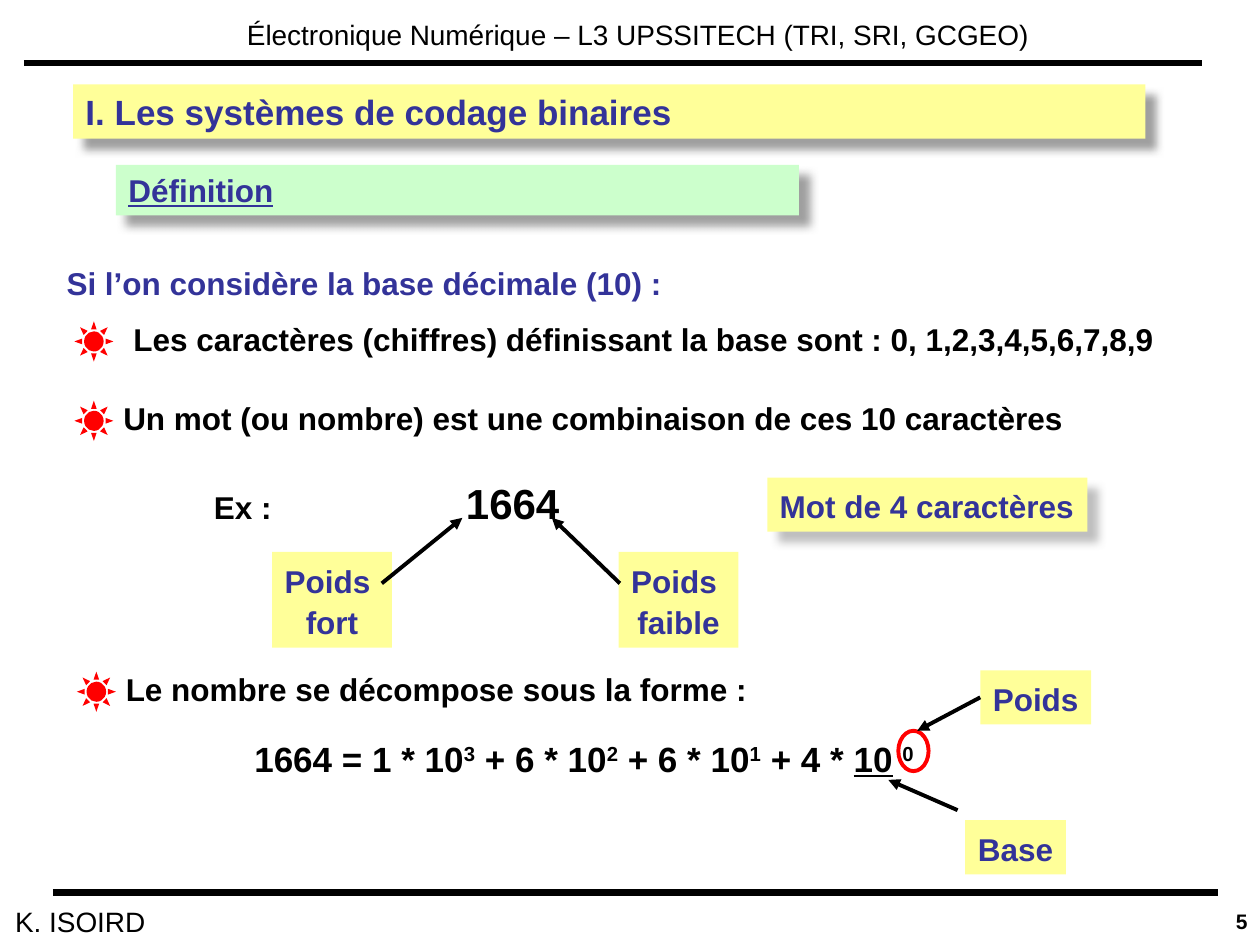
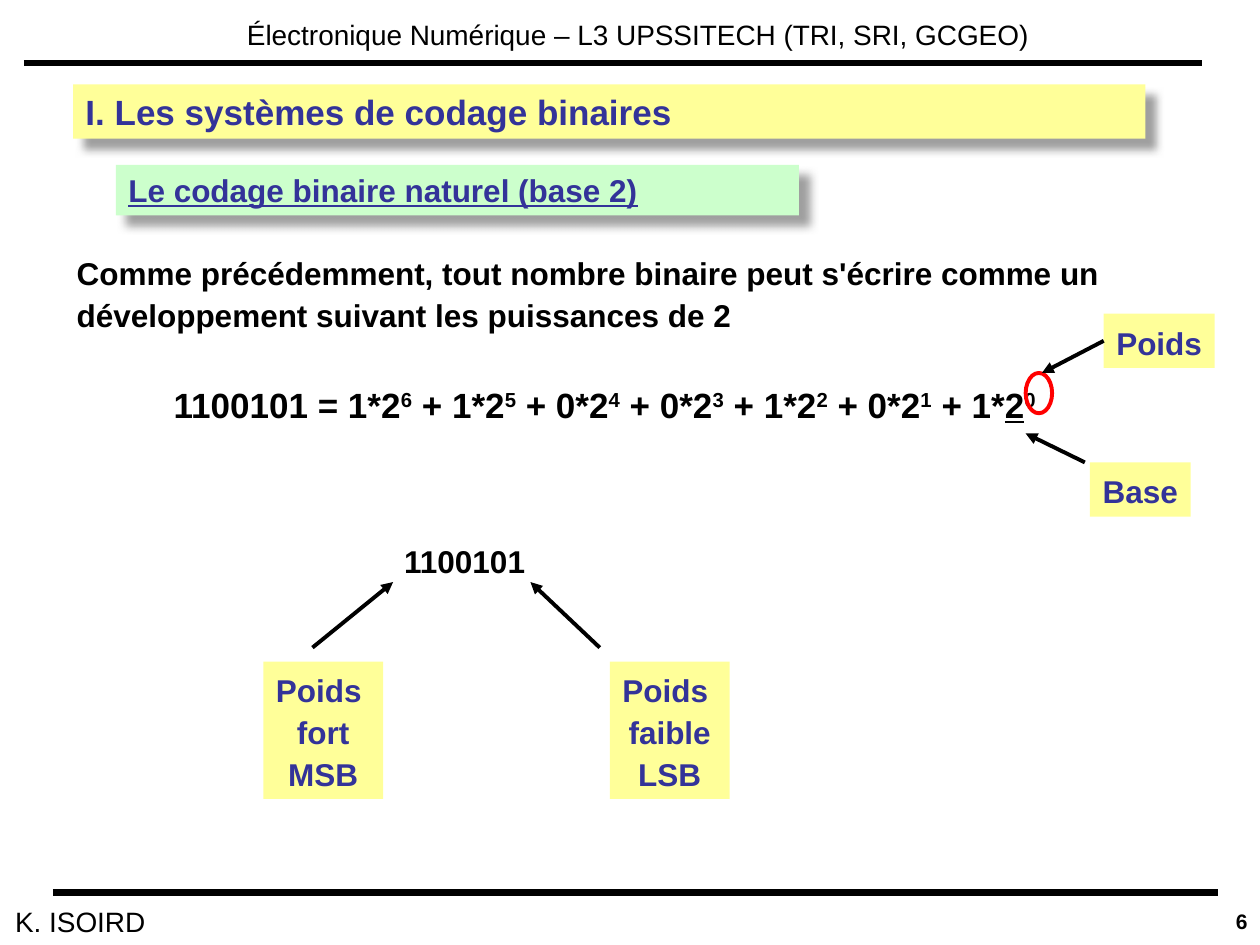
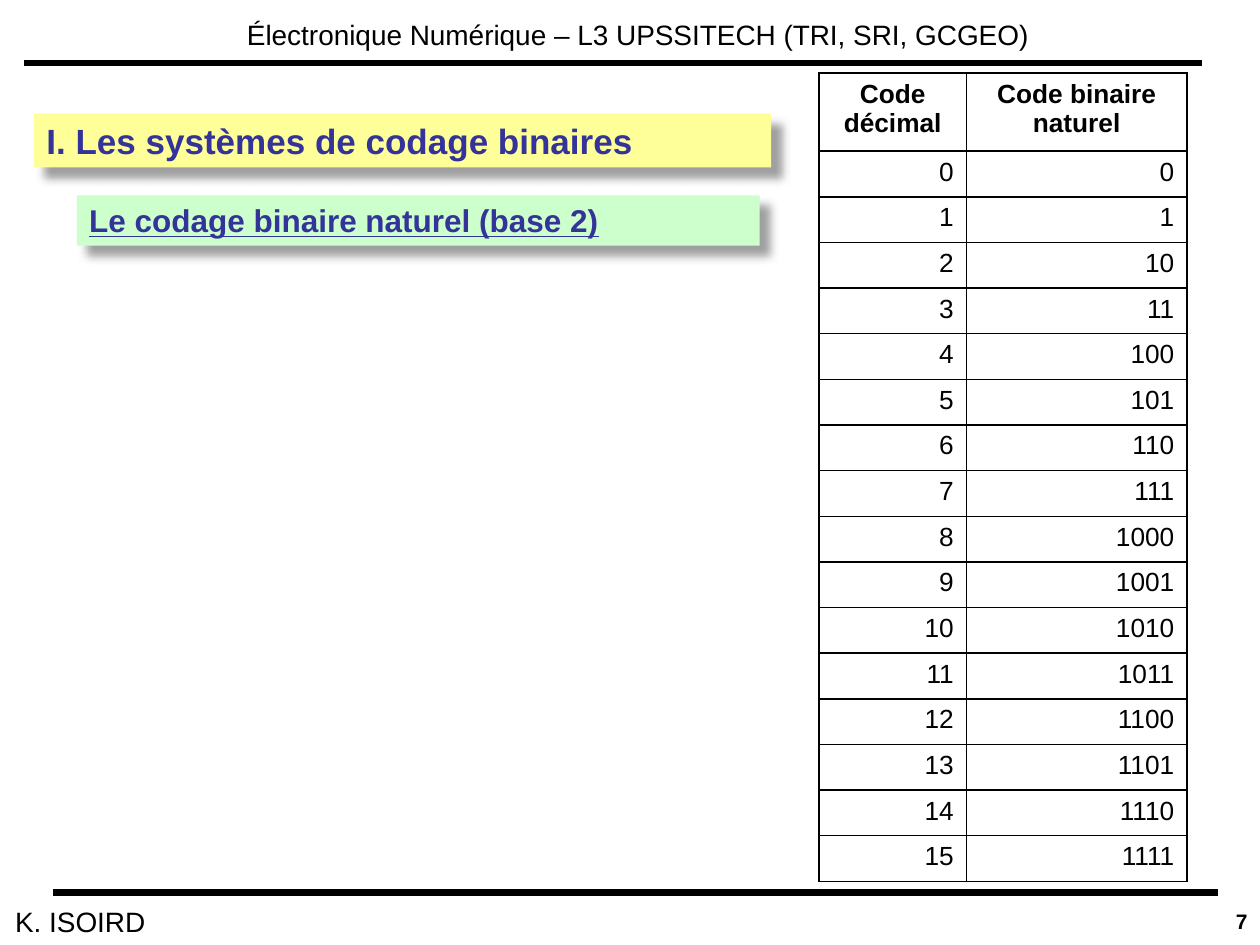
"""Build three slides on binary coding systems."""
from lxml import etree
from pptx import Presentation
from pptx import util as u
from pptx.dml.color import RGBColor
from pptx.enum import shapes, text
from pptx.oxml import ns

COLORS = {"ink": "000000", "title": "333399", "yellow": "FFFF99", "green": "CCFFCC",
          "red": "FF0000", "shadow": "808080"}
FONT = "Arial"
SUP = {"baseline": "30000"}
BODY = {"size": 18, "bold": True}
TAG = {"size": 18, "bold": True, "color": "title"}
CENTER, RIGHT = text.PP_ALIGN.CENTER, text.PP_ALIGN.RIGHT
CHAPTER = "I. Les systèmes de codage binaires"
COURSE = "Électronique Numérique – L3 UPSSITECH (TRI, SRI, GCGEO)"
AUTHOR = "K. ISOIRD"
NATURAL = "Le codage binaire naturel (base 2)"


def rgb(name):
    """Return the named colour."""
    return RGBColor.from_string(COLORS[name])


def inches(*values):
    """Convert several lengths from inches."""
    return [u.Inches(v) for v in values]


def sub(parent, tag, **attrs):
    """Append a DrawingML element to a parent."""
    return etree.SubElement(parent, ns.qn(tag), attrs)


def style_run(r, size, color="ink", baseline=None, **fmt):
    """Apply font, size, colour and other format values to a run."""
    r.font.color.rgb = rgb(color)
    for name, value in {"name": FONT, "size": u.Pt(size), **fmt}.items():
        setattr(r.font, name, value)
    if baseline:
        r._r.get_or_add_rPr().set("baseline", baseline)


def write(tf, lines, fmt, align=None, spacing=None, tab=None):
    """Fill a text frame with lines, each a string or a list of (text, format) runs."""
    for i, line in enumerate(lines):
        p = tf.add_paragraph() if i else tf.paragraphs[0]
        p.alignment, p.line_spacing = align, spacing
        if tab:
            stops = sub(p._p.get_or_add_pPr(), "a:tabLst")
            sub(stops, "a:tab", pos=str(u.Inches(tab)), algn="l")
        for content, extra in [(line, {})] if isinstance(line, str) else line:
            r = p.add_run()
            r.text = content
            style_run(r, **{**fmt, **extra})


def add_text(s, at, lines, fmt, align=None, spacing=1.1, wrap=False,
             anchor=text.MSO_ANCHOR.TOP, margins=(0.1, 0.05), tab=None):
    """Add a plain text box."""
    sp = s.shapes.add_textbox(*inches(*at))
    side, edge = inches(*margins)
    frame = {"word_wrap": wrap, "vertical_anchor": anchor, "margin_left": side,
             "margin_right": side, "margin_top": edge, "margin_bottom": edge}
    for name, value in frame.items():
        setattr(sp.text_frame, name, value)
    write(sp.text_frame, lines, fmt, align, spacing, tab)


def add_preset(s, kind, at, fill=None, line=None):
    """Add a preset shape with an optional fill and outline."""
    sp = s.shapes.add_shape(kind, *inches(*at))
    sp.shadow.inherit = False
    if fill:
        sp.fill.solid()
        sp.fill.fore_color.rgb = rgb(fill)
    else:
        sp.fill.background()
    if line:
        sp.line.color.rgb = rgb(line)
        sp.line.width = u.Pt(2.25)
    else:
        sp.line.fill.background()
    return sp


def add_shadow(sp, alpha):
    """Give a shape a soft shadow towards the lower right."""
    effects = sp._element.spPr.find(ns.qn("a:effectLst"))
    outer = sub(effects, "a:outerShdw", blurRad=str(u.Pt(5)), dist=str(u.Pt(8.5)),
                dir="2700000", algn="ctr", rotWithShape="0")
    color = sub(outer, "a:srgbClr", val=COLORS["shadow"])
    sub(color, "a:alpha", val=str(alpha * 1000))


def add_label(s, at, lines, fmt=TAG, fill="yellow", align=CENTER, spacing=1.1,
              wrap=False, shadow=None):
    """Add a filled rectangle with text."""
    sp = add_preset(s, shapes.MSO_SHAPE.RECTANGLE, at, fill)
    sp.text_frame.word_wrap = wrap
    sp.text_frame.vertical_anchor = text.MSO_ANCHOR.TOP
    write(sp.text_frame, lines, fmt, align, spacing)
    if shadow:
        add_shadow(sp, shadow)
    return sp


def add_line(s, start, end, width=2.25, arrow=True):
    """Add a straight black line, with an arrowhead at its end by default."""
    cn = s.shapes.add_connector(shapes.MSO_CONNECTOR.STRAIGHT, *inches(*start, *end))
    cn.line.color.rgb = rgb("ink")
    cn.line.width = u.Pt(width)
    sub(cn._element.spPr, "a:effectLst")
    if arrow:
        sub(cn.line._get_or_add_ln(), "a:tailEnd", type="triangle")
    return cn


def add_point(s, left, top, content, gap):
    """Add a statement marked by a red sun."""
    add_text(s, (left + gap, top - 0.09, 8.42, 0.43), [content], BODY)
    add_preset(s, shapes.MSO_SHAPE.SUN, (left, top, 0.31, 0.32), "red")


def add_weights(s, top, left, high, low, tips, height):
    """Add the labels of the high and low weights and their arrows."""
    for x, name in ((left, high), (left + 2.75, low)):
        add_label(s, (x, top, 0.95, height), ["Poids ", *name])
    for start, end in tips:
        add_line(s, start, end)


def add_power_notes(s, weight, base, ring, weight_tip, base_arrow):
    """Ring the last exponent and point out the weight and the base."""
    add_label(s, (*base, 0.8, 0.43), ["Base"])
    add_line(s, *base_arrow)
    add_preset(s, shapes.MSO_SHAPE.OVAL, ring, line="red")
    sp = add_label(s, (*weight, 0.88, 0.43), ["Poids"])
    add_line(s, weight, weight_tip).begin_connect(sp, 1)


def power_runs(number, base, times, gap=""):
    """Return the runs that write a number as a sum of powers of its base."""
    runs = []
    for i, digit in enumerate(number):
        power = len(number) - 1 - i
        head = (" + " if i else f"{number} = ") + digit + times
        if power:
            runs.append((head + base, {}))
        else:
            runs += [(head, {}), (base, {"underline": True})]
            if gap:
                runs.append((gap, {}))
        runs.append((str(power), SUP))
    return runs


def add_border(cell):
    """Draw a thin black border on each side of a cell."""
    pr = cell._tc.get_or_add_tcPr()
    for i, side in enumerate(("a:lnL", "a:lnR", "a:lnT", "a:lnB")):
        ln = etree.Element(ns.qn(side), w=str(u.Pt(1)))
        sub(sub(ln, "a:solidFill"), "a:srgbClr", val=COLORS["ink"])
        pr.insert(i, ln)


def add_code_table(s, at, widths, head_height, rows):
    """Add the table of codes with a bold heading row."""
    table = s.shapes.add_table(len(rows), len(widths), *inches(*at)).table
    table.first_row = table.horz_banding = False
    for col, width in zip(table.columns, widths):
        col.width = u.Inches(width)
    row_height = (at[3] - head_height) / (len(rows) - 1)
    for i, values in enumerate(rows):
        table.rows[i].height = u.Inches(row_height if i else head_height)
        for j, value in enumerate(values):
            cell = table.cell(i, j)
            cell.fill.background()
            add_border(cell)
            write(cell.text_frame, [value], {"size": 15, "bold": not i},
                  RIGHT if i else CENTER)


def new_slide(prs, number, section, left=0.58, top=0.67, width=8.51, step=0.64):
    """Add a slide with its header, footer, chapter and section bands."""
    s = prs.slides.add_slide(prs.slide_layouts[6])
    small = {"size": 16}
    add_line(s, (0.42, 7.08), (9.67, 7.08), 4, False)
    add_text(s, (0, 7.12, 1.28, 0.39), [AUTHOR], small, spacing=None, margins=(0.12, 0.06))
    add_text(s, (1.84, 0.08, 8.16, 0.39), [COURSE], small, spacing=None, wrap=True,
             margins=(0.12, 0.06))
    add_line(s, (0.19, 0.5), (9.54, 0.5), 4, False)
    band = {"align": None, "spacing": None, "wrap": True, "shadow": 75}
    add_label(s, (left, top, width, 0.43), [CHAPTER], {**TAG, "size": 20}, **band)
    add_label(s, (left + 0.34, top + step, 5.42, 0.4), [section],
              {**TAG, "underline": True}, "green", **band)
    add_text(s, (7.67, 7.1, 2.33, 0.4), [str(number)], {"size": 12, "bold": True}, RIGHT,
             wrap=True, anchor=text.MSO_ANCHOR.MIDDLE)
    return s


def build_definition(prs):
    """Build the slide on the decimal base."""
    s = new_slide(prs, 5, "Définition")
    add_text(s, (0.43, 2.02, 4.93, 0.43), ["Si l’on considère la base décimale (10) :"], TAG)
    add_point(s, 0.59, 2.55,
              "Les caractères (chiffres) définissant la base sont : 0, 1,2,3,4,5,6,7,8,9", 0.37)
    add_point(s, 0.59, 3.18,
              "Un mot (ou nombre) est une combinaison de ces 10 caractères", 0.29)
    add_text(s, (1.6, 3.7, 2.94, 0.54), [[("Ex : \t", {}), ("1664", {"size": 24})]], BODY,
             tab=2)
    add_label(s, (6.09, 3.79, 2.54, 0.43), ["Mot de 4 caractères"], align=None, shadow=50)
    add_weights(s, 4.38, 2.16, ["fort"], ["faible"],
                [((3.03, 4.63), (3.67, 4.11)), ((4.92, 4.63), (4.38, 4.11))], 0.76)
    add_point(s, 0.61, 5.33, "Le nombre se décompose sous la forme :", 0.29)
    add_text(s, (1.9, 5.77, 5.47, 0.47), [power_runs("1664", "10", " * ", " ")],
             {**BODY, "size": 20}, CENTER)
    add_power_notes(s, (7.78, 5.32), (7.66, 6.51), (7.13, 5.8, 0.24, 0.32), (7.28, 5.8),
                    ((7.6, 6.43), (7.05, 6.19)))


def build_binary(prs):
    """Build the slide on the powers of two."""
    s = new_slide(prs, 6, NATURAL)
    add_text(s, (0.51, 1.94, 8.82, 0.76),
             ["Comme précédemment, tout nombre binaire peut s'écrire comme un "
              "développement suivant les puissances de 2"], BODY, wrap=True)
    add_text(s, (1.28, 2.96, 7.18, 0.47), [power_runs("1100101", "2", "*")],
             {**BODY, "size": 20})
    add_power_notes(s, (8.76, 2.49), (8.65, 3.67), (8.14, 2.96, 0.21, 0.32), (8.27, 2.96),
                    ((8.61, 3.67), (8.14, 3.44)))
    add_weights(s, 5.25, 2.09, ["fort", "MSB"], ["faible", "LSB"],
                [((2.48, 5.14), (3.12, 4.62)), ((4.76, 5.14), (4.21, 4.62))], 1.09)
    add_text(s, (3.11, 4.22, 1.17, 0.43), ["1100101"], BODY)


def build_codes(prs):
    """Build the slide with the table of binary codes."""
    s = new_slide(prs, 7, NATURAL, 0.27, 0.9, 5.85, 0.65)
    rows = [("Code décimal", "Code binaire naturel")]
    rows += [(str(n), f"{n:b}") for n in range(16)]
    add_code_table(s, (6.5, 0.58, 2.92, 6.42), (1.17, 1.75), 0.62, rows)


def main():
    """Build and save the presentation."""
    prs = Presentation()
    prs.slide_width, prs.slide_height = inches(10, 7.5)
    for build in (build_definition, build_binary, build_codes):
        build(prs)
    prs.save("out.pptx")


if __name__ == "__main__":
    main()
